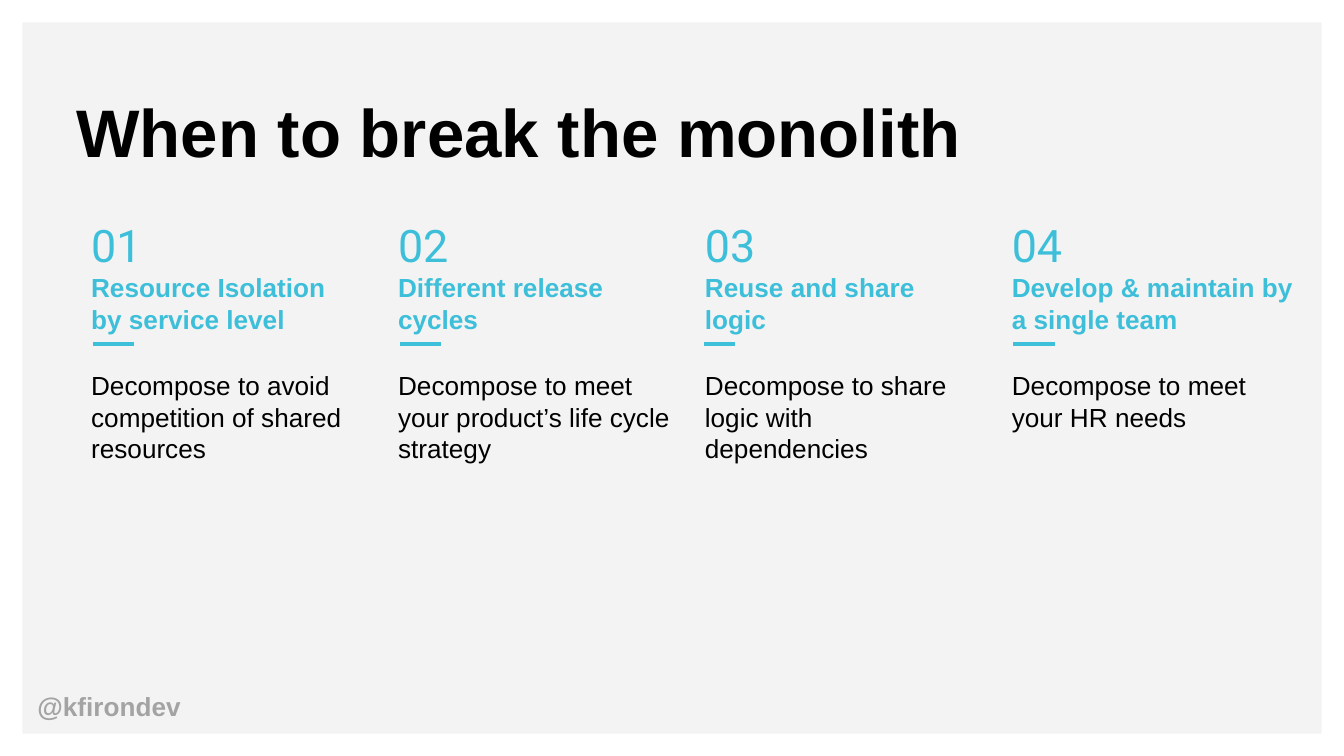
from copy import deepcopy

from pptx import Presentation
from pptx.dml.color import RGBColor
from pptx.enum.shapes import MSO_CONNECTOR, MSO_SHAPE
from pptx.enum.text import MSO_ANCHOR, MSO_AUTO_SIZE, PP_ALIGN
from pptx.oxml.ns import qn
from pptx.util import Inches, Pt
from lxml.etree import SubElement

WIDTH = 10
HEIGHT = WIDTH * 9 / 16
MARGIN = WIDTH / 60
LEFT, LAST_LEFT = 0.58, 7.43
HEAD_TOP, RULE_TOP, BODY_TOP = 1.52, 2.56, 2.65
ACCENT, BLACK, GREY, PANEL = "3DBFDA", "000000", "A3A3A3", "F3F3F3"

# number, heading lines, body paragraphs, heading width, body width, rule (offset, length)
REASONS = [
    ("01", ["Resource Isolation ", "by service level"],
     ["Decompose to avoid competition of shared", "resources"], 2.34, 2.34, (0.11, 0.31)),
    ("02", ["Different release cycles"],
     ["Decompose to meet your product’s life cycle strategy"], 2.34, 2.28, (0.11, 0.31)),
    ("03", ["Reuse and share logic"],
     ["Decompose to share logic with dependencies"], 2.18, 2.06, (0.09, 0.23)),
    ("04", ["Develop & maintain by a single team"],
     ["Decompose to meet your HR needs"], 2.34, 2.18, (0.11, 0.31)),
]
STEP = (LAST_LEFT - LEFT) / (len(REASONS) - 1)


def color(value):
    return RGBColor.from_string(value)


def add_run(p, text, size, fill, bold=False, font="Arial"):
    r = p.add_run()
    r.text = text
    r.font.name, r.font.size, r.font.bold = font, Pt(size), bold
    r.font.color.rgb = color(fill)
    return r


def add_break(p, r):
    """Line break that keeps the format of the run before it."""
    br = SubElement(p._p, qn("a:br"))
    br.append(deepcopy(r._r.rPr))


def set_frame(tf, inset=0.1):
    tf.word_wrap = True
    tf.auto_size = MSO_AUTO_SIZE.NONE
    tf.vertical_anchor = MSO_ANCHOR.TOP
    tf.margin_left = tf.margin_right = Inches(0.1)
    tf.margin_top = tf.margin_bottom = Inches(inset)
    return tf


def add_text(s, x, y, w, h, inset=0.1):
    sp = s.shapes.add_textbox(Inches(x), Inches(y), Inches(w), Inches(h))
    return set_frame(sp.text_frame, inset)


def add_panel(s):
    sp = s.shapes.add_shape(MSO_SHAPE.RECTANGLE, Inches(MARGIN), Inches(MARGIN),
                            Inches(WIDTH - 2 * MARGIN), Inches(HEIGHT - 2 * MARGIN))
    sp.shadow.inherit = False
    sp.fill.solid()
    sp.fill.fore_color.rgb = color(PANEL)
    sp.line.fill.background()
    s.shapes.element.insert(2, sp.element)  # behind the title


def add_title(s, text):
    sp = s.shapes.title
    sp.left, sp.top = Inches(0.47), Inches(0.57)
    sp.width, sp.height = Inches(9.19), Inches(0.85)
    p = set_frame(sp.text_frame).paragraphs[0]
    p.alignment = PP_ALIGN.LEFT
    add_run(p, text, 36, BLACK, True)


def add_rule(s, x, y, length):
    c = s.shapes.add_connector(MSO_CONNECTOR.STRAIGHT, Inches(x), Inches(y),
                               Inches(x + length), Inches(y))
    c.line.color.rgb = color(ACCENT)
    c.line.width = Pt(2.25)
    SubElement(c.element.spPr, qn("a:effectLst"))


def add_reason(s, x, number, heading, body, head_w, body_w, rule):
    # Number and heading
    p = add_text(s, x, HEAD_TOP, head_w, 0.39).paragraphs[0]
    r = add_run(p, number + " ", 24, ACCENT, font="Roboto")
    for line in heading:
        add_break(p, r)
        r = add_run(p, line, 14, ACCENT, True)

    # Explanation
    tf = add_text(s, x, BODY_TOP, body_w, 1.76)
    for i, text in enumerate(body):
        p = tf.add_paragraph() if i else tf.paragraphs[0]
        add_run(p, text, 14, BLACK)

    # Short rule under the heading
    offset, length = rule
    add_rule(s, x + offset, RULE_TOP, length)


def add_handle(s, text):
    p = add_text(s, 0.18, 5.09, 1.43, 0.34, inset=0.05).paragraphs[0]
    add_run(p, text, 14, GREY, True)


def main():
    prs = Presentation()
    prs.slide_width, prs.slide_height = Inches(WIDTH), Inches(HEIGHT)
    s = prs.slides.add_slide(prs.slide_layouts[5])
    add_panel(s)
    add_title(s, "When to break the monolith")
    for i, reason in enumerate(REASONS):
        add_reason(s, LEFT + i * STEP, *reason)
    add_handle(s, "@kfirondev")
    prs.save("out.pptx")


if __name__ == "__main__":
    main()
